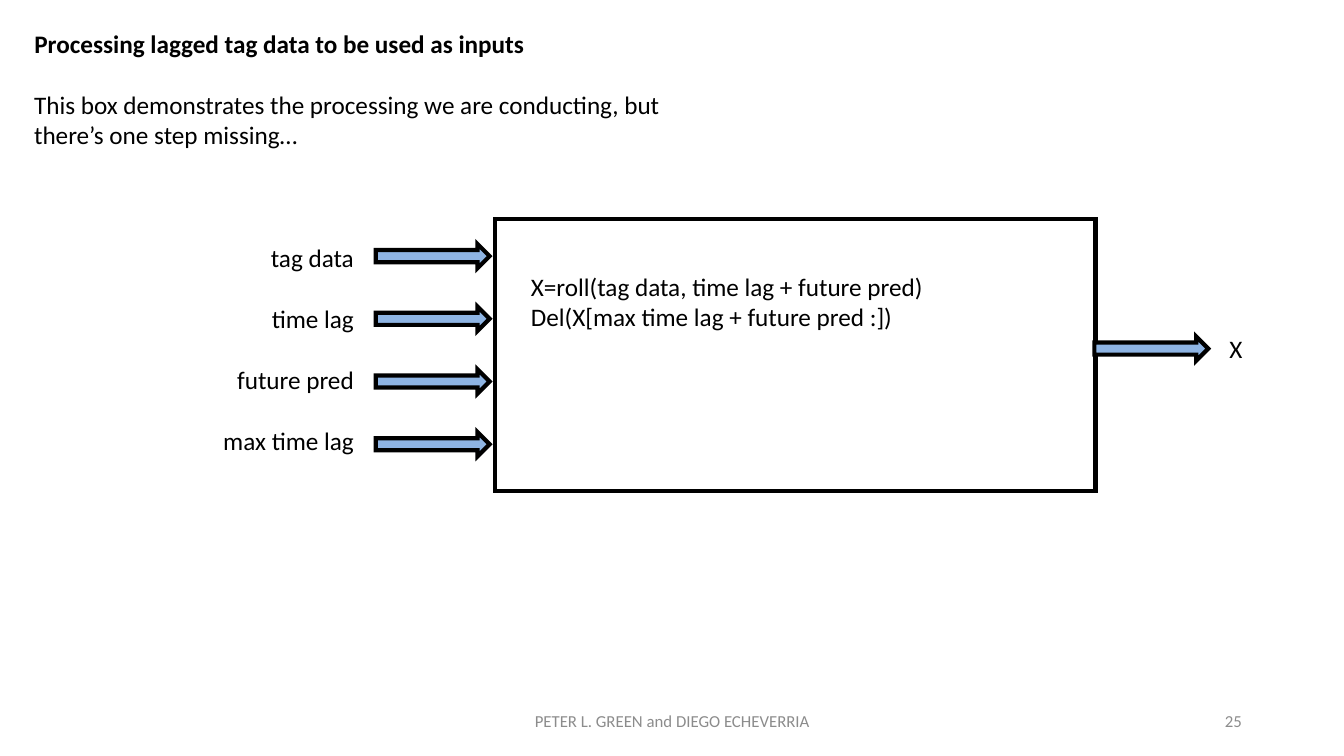
from lxml import etree
from pptx import Presentation
from pptx.dml.color import RGBColor
from pptx.enum.shapes import MSO_SHAPE
from pptx.enum.text import MSO_ANCHOR, MSO_AUTO_SIZE, PP_ALIGN
from pptx.oxml.ns import qn
from pptx.util import Cm, Pt

LEFT, CENTER, RIGHT = PP_ALIGN.LEFT, PP_ALIGN.CENTER, PP_ALIGN.RIGHT
TOP, MIDDLE = MSO_ANCHOR.TOP, MSO_ANCHOR.MIDDLE
RECTANGLE, RIGHT_ARROW = MSO_SHAPE.RECTANGLE, MSO_SHAPE.RIGHT_ARROW

BLACK, WHITE, GRAY, BLUE = "000000", "FFFFFF", "8C8C8C", "8EB4E3"

# Lengths in centimetres: left, top, width, height
TITLE = "Processing lagged tag data to be used as inputs"
TITLE_AREA = (0.61, 0.58, 16.61, 1.02)
INPUTS = ["tag data", "time lag", "future pred", "max time lag"]
PROCESS_BOX = (12.47, 5.51, 15.14, 6.86)
ARROW_SIZE = (2.87, 0.61)
INPUT_ARROW_START = (9.47, 6.15)
INPUT_ARROW_PITCH = 1.58
OUTPUT_ARROW_START = (27.58, 8.48)

BODY = {"size": 18, "color": BLACK}
FOOTER = {"size": 12, "color": GRAY, "anchor": MIDDLE}
TEXTS = [
    (["This box demonstrates the processing we are conducting, but there’s one step missing…"],
     (0.61, 2.13, 16.61, 1.8), BODY),
    (INPUTS, (4.88, 5.99, 4.29, 5.64), {**BODY, "align": RIGHT, "gap": 22}),
    (["X=roll(tag data, time lag + future pred)", "Del(X[max time lag + future pred :])"],
     (13.13, 6.71, 13.56, 1.8), BODY),
    (["X"], (30.73, 8.28, 1.57, 1.02), BODY),
    (["PETER L. GREEN and DIEGO ECHEVERRIA"], (11.23, 17.65, 11.43, 1.02),
     {**FOOTER, "align": CENTER}),
    (["25"], (23.93, 17.65, 7.62, 1.02), {**FOOTER, "align": RIGHT}),
]


def rgb(value):
    return RGBColor.from_string(value)


def lengths(area):
    return [Cm(value) for value in area]


def write(text_frame, lines, size, color, align=LEFT, anchor=TOP, gap=0, bold=False):
    """Fill a text frame, with gap points between its paragraphs."""
    frame_format = {"word_wrap": True, "auto_size": MSO_AUTO_SIZE.NONE,
                    "vertical_anchor": anchor}
    font_format = {"name": "Calibri", "size": Pt(size), "bold": bold}
    for name, value in frame_format.items():
        setattr(text_frame, name, value)
    for index, line in enumerate(lines):
        paragraph = text_frame.add_paragraph() if index else text_frame.paragraphs[0]
        paragraph.text = line
        paragraph.alignment = align
        paragraph.space_before = Pt(gap if index else 0)
        for name, value in font_format.items():
            setattr(paragraph.font, name, value)
        paragraph.font.color.rgb = rgb(color)


def add_outlined(slide, kind, area, fill):
    """Add a filled shape with a thick black outline and sharp corners."""
    shape = slide.shapes.add_shape(kind, *lengths(area))
    shape.shadow.inherit = False
    shape.fill.solid()
    shape.fill.fore_color.rgb = rgb(fill)
    shape.line.color.rgb = rgb(BLACK)
    shape.line.width = Pt(3)
    outline = shape.element.spPr.find(qn("a:ln"))
    etree.SubElement(outline, qn("a:miter"), lim="800000")


def main():
    presentation = Presentation()
    presentation.slide_width, presentation.slide_height = Cm(33.87), Cm(19.05)
    slide = presentation.slides.add_slide(presentation.slide_layouts[5])

    title = slide.shapes.title
    title.left, title.top, title.width, title.height = lengths(TITLE_AREA)
    write(title.text_frame, [TITLE], **BODY, bold=True)

    add_outlined(slide, RECTANGLE, PROCESS_BOX, WHITE)
    left, top = INPUT_ARROW_START
    arrow_starts = [(left, top + row * INPUT_ARROW_PITCH) for row in range(len(INPUTS))]
    for start in arrow_starts + [OUTPUT_ARROW_START]:
        add_outlined(slide, RIGHT_ARROW, start + ARROW_SIZE, BLUE)

    for lines, area, text_format in TEXTS:
        text_box = slide.shapes.add_textbox(*lengths(area))
        write(text_box.text_frame, lines, **text_format)

    presentation.save("out.pptx")


if __name__ == "__main__":
    main()
